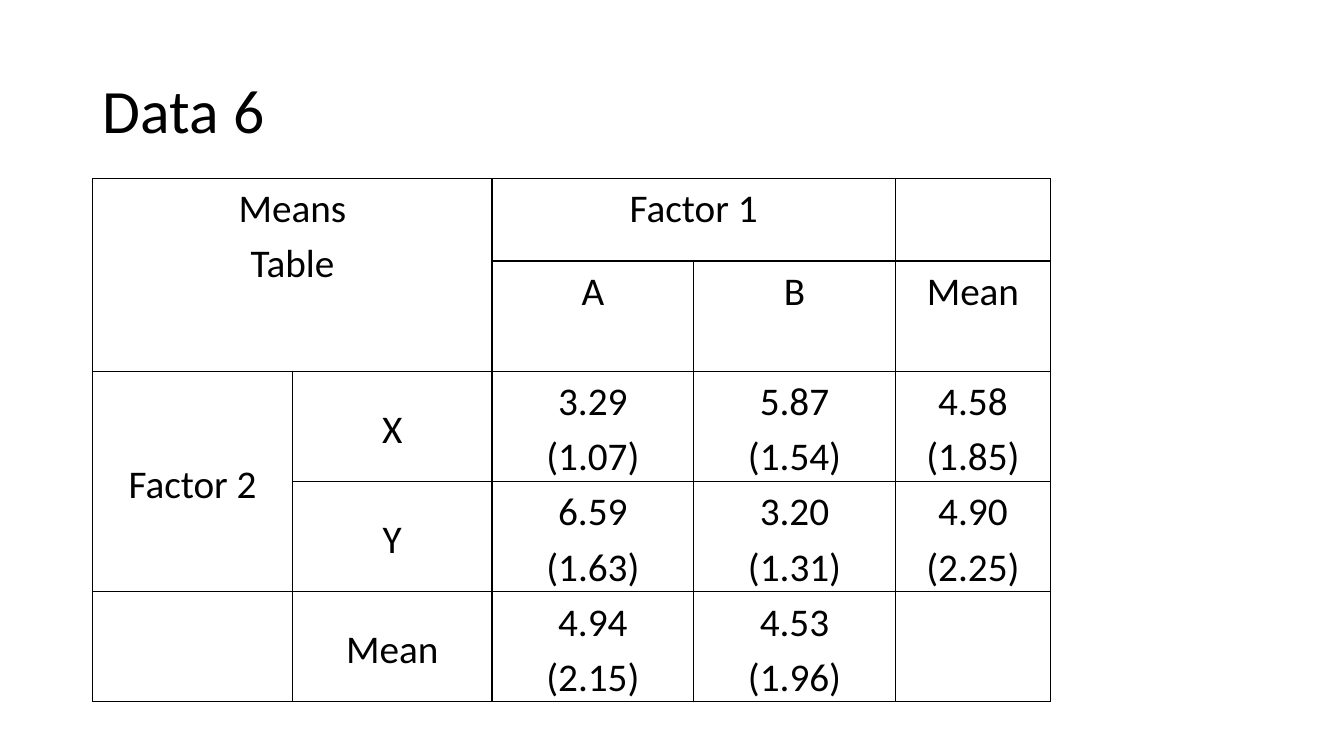
import lxml.etree
import pptx
import pptx.dml.color
import pptx.enum.text
import pptx.oxml.ns
import pptx.util

Inches = pptx.util.Inches
Pt = pptx.util.Pt
Align = pptx.enum.text.PP_ALIGN
Anchor = pptx.enum.text.MSO_ANCHOR

COLUMN_WIDTHS = [1.98, 1.98, 2, 2, 1.54]
ROW_HEIGHTS = [0.82] + [1.09] * 4
MEANS = [
    ["Means\nTable", "", "Factor 1", "", ""],
    ["", "", "A", "B", "Mean"],
    ["Factor 2", "X", "3.29\n(1.07)", "5.87\n(1.54)", "4.58\n(1.85)"],
    ["", "Y", "6.59\n(1.63)", "3.20\n(1.31)", "4.90\n(2.25)"],
    ["", "Mean", "4.94\n(2.15)", "4.53\n(1.96)", ""],
]
MERGES = [((0, 0), (1, 1)), ((0, 2), (0, 3)), ((2, 0), (3, 0))]


def color(value):
    return pptx.dml.color.RGBColor.from_string(value)


class MeansPage:
    font = "Calibri"
    ink = "000000"
    paper = "FFFFFF"

    def __init__(self, deck):
        self.page = deck.slides.add_slide(deck.slide_layouts[5])

    def add_text(self, para, text, size):
        for index, line in enumerate(text.split("\n")):
            if index:
                para.add_line_break()
            span = para.add_run()
            span.text = line
            span.font.name = self.font
            span.font.size = Pt(size)
            span.font.color.rgb = color(self.ink)

    def title(self, text, left, top, width, height):
        box = self.page.shapes.title
        box.left, box.top = Inches(left), Inches(top)
        box.width, box.height = Inches(width), Inches(height)
        box.text_frame.vertical_anchor = Anchor.MIDDLE
        para = box.text_frame.paragraphs[0]
        para.alignment = Align.LEFT
        para.line_spacing = 0.9
        self.add_text(para, text, 44)

    def borders(self, cell):
        properties = cell._tc.get_or_add_tcPr()
        qn = pptx.oxml.ns.qn
        for side in ("lnL", "lnR", "lnT", "lnB"):
            line = lxml.etree.SubElement(properties, qn("a:" + side), w=str(Pt(1)))
            fill = lxml.etree.SubElement(line, qn("a:solidFill"))
            lxml.etree.SubElement(fill, qn("a:srgbClr"), val=self.ink)

    def cell(self, cell, text, anchor):
        self.borders(cell)
        cell.fill.solid()
        cell.fill.fore_color.rgb = color(self.paper)
        cell.margin_left = cell.margin_right = Inches(0.07)
        cell.margin_top = cell.margin_bottom = 0
        cell.vertical_anchor = anchor
        if text:
            para = cell.text_frame.paragraphs[0]
            para.alignment = Align.CENTER
            para.line_spacing = 1.15
            self.add_text(para, text, 28)

    def table(self, values, merges, widths, heights, left, top):
        table = self.page.shapes.add_table(
            len(heights), len(widths), Inches(left), Inches(top),
            Inches(sum(widths)), Inches(sum(heights))).table
        table.first_row = table.horz_banding = False
        for column, width in zip(table.columns, widths):
            column.width = Inches(width)
        for row, height in zip(table.rows, heights):
            row.height = Inches(height)
        for first, last in merges:
            table.cell(*first).merge(table.cell(*last))
        for r, row in enumerate(values):
            for c, text in enumerate(row):
                label = r > 1 and c < 2
                self.cell(table.cell(r, c), text, Anchor.MIDDLE if label else Anchor.TOP)


def main():
    deck = pptx.Presentation()
    deck.slide_width, deck.slide_height = Inches(13.33), Inches(7.5)
    page = MeansPage(deck)
    page.title("Data 6", 0.92, 0.4, 11.5, 1.45)
    page.table(MEANS, MERGES, COLUMN_WIDTHS, ROW_HEIGHTS, 0.92, 1.77)
    deck.save("out.pptx")


if __name__ == "__main__":
    main()
